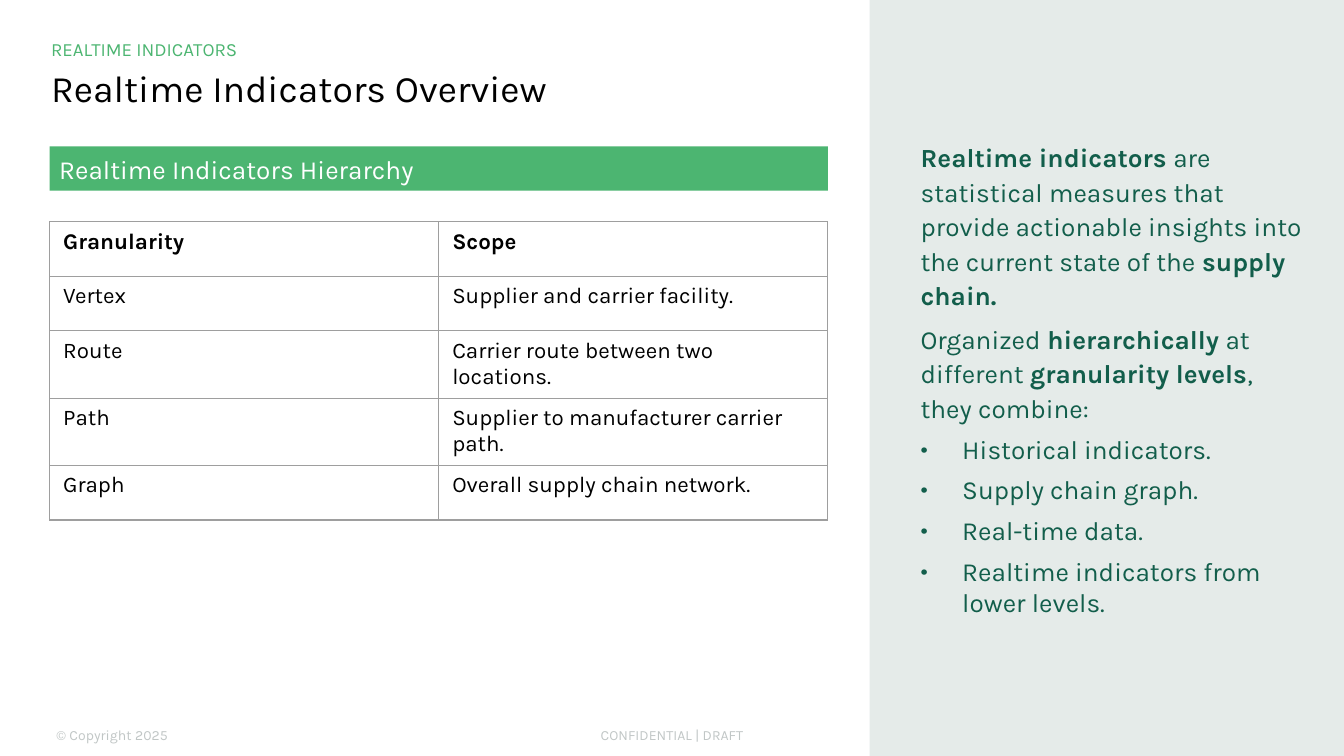
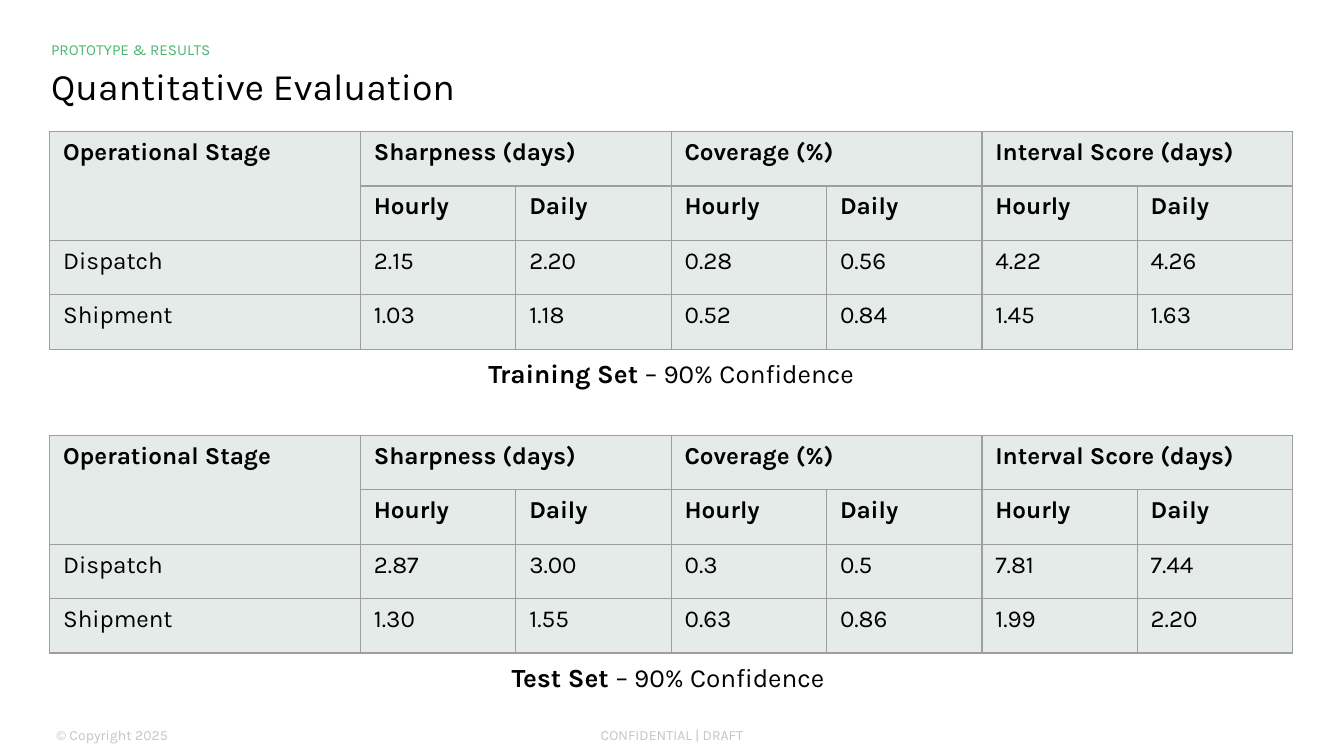
from dataclasses import dataclass

from lxml import etree
from pptx import Presentation
from pptx.dml.color import RGBColor
from pptx.enum.shapes import MSO_SHAPE
from pptx.enum.text import MSO_ANCHOR, PP_ALIGN
from pptx.oxml.ns import qn
from pptx.util import Inches, Pt

RECT = MSO_SHAPE.RECTANGLE
TOP, MID = MSO_ANCHOR.TOP, MSO_ANCHOR.MIDDLE
LEFT, CENTER = PP_ALIGN.LEFT, PP_ALIGN.CENTER


@dataclass(frozen=True)
class Theme:
    font: str = "Karla"
    black: str = "000000"
    white: str = "FFFFFF"
    green: str = "4CB571"
    dark: str = "125E4B"
    pale: str = "E5EBE9"
    gray: str = "838E8D"
    grid: str = "9E9E9E"
    title: float = 20
    body: float = 14
    score: float = 13
    cell: float = 12
    foot: float = 7.5


THEME = Theme()
WIDTH = 10
HEIGHT = WIDTH * 9 / 16
EDGE, WIDE = 0.37, 9.25  # left edge and full content width


# Text and shape helpers
def set_frame(frame, inset, anchor=TOP):
    frame.word_wrap = True
    frame.vertical_anchor = anchor
    sides = ("margin_left", "margin_top", "margin_right", "margin_bottom")
    for side, gap in zip(sides, inset):
        setattr(frame, side, Inches(gap))


def add_runs(para, runs, size, color, align=LEFT):
    """Each run is a (text, bold) pair."""
    para.alignment = align
    for text, bold in runs:
        run = para.add_run()
        run.text = text
        run.font.name = THEME.font
        run.font.size = Pt(size)
        run.font.bold = bold
        run.font.color.rgb = RGBColor.from_string(color)


def add_text(slide, box, runs, size, color, inset, anchor=TOP, align=LEFT):
    frame = slide.shapes.add_textbox(*map(Inches, box)).text_frame
    set_frame(frame, inset, anchor)
    add_runs(frame.paragraphs[0], runs, size, color, align)
    return frame.paragraphs[0]


def add_block(slide, box, fill, inset):
    shape = slide.shapes.add_shape(RECT, *map(Inches, box))
    shape.shadow.inherit = False
    shape.fill.solid()
    shape.fill.fore_color.rgb = RGBColor.from_string(fill)
    shape.line.fill.background()
    set_frame(shape.text_frame, inset, MID)
    return shape.text_frame


def add_bullet(para, indent):
    props = para._p.get_or_add_pPr()
    props.set("marL", str(Inches(indent)))
    props.set("indent", str(-Inches(indent)))
    etree.SubElement(props, qn("a:buFont")).set("typeface", THEME.font)
    etree.SubElement(props, qn("a:buChar")).set("char", "•")


def fade(para, percent):
    for color in para._p.iter(qn("a:srgbClr")):
        etree.SubElement(color, qn("a:alpha")).set("val", str(percent * 1000))


# Table helpers
def add_borders(cell):
    props = cell._tc.get_or_add_tcPr()
    for spot, side in enumerate(("lnL", "lnR", "lnT", "lnB")):
        line = etree.Element(qn("a:" + side), w=str(Pt(0.75)))
        fill = etree.SubElement(line, qn("a:solidFill"))
        etree.SubElement(fill, qn("a:srgbClr")).set("val", THEME.grid)
        props.insert(spot, line)


def add_grid(slide, box, rows, parts, size, heads=1, fill=None):
    """Columns share the width by parts; the first rows are bold heads."""
    left, top, width, height = box
    table = slide.shapes.add_table(
        len(rows), len(parts), *map(Inches, box)).table
    table.first_row = table.horz_banding = False
    for col, part in zip(table.columns, parts):
        col.width = Inches(width * part / sum(parts))
    for y, row in enumerate(rows):
        table.rows[y].height = Inches(height / len(rows))
        for x, text in enumerate(row):
            cell = table.cell(y, x)
            if fill:
                cell.fill.solid()
                cell.fill.fore_color.rgb = RGBColor.from_string(fill)
            else:
                cell.fill.background()
            add_borders(cell)
            if text:
                add_runs(cell.text_frame.paragraphs[0], [(text, y < heads)],
                         size, THEME.black)
    return table


# Parts shared by the slides
def add_base(deck):
    slide = deck.slides.add_slide(deck.slide_layouts[6])
    slide.background.fill.solid()
    slide.background.fill.fore_color.rgb = RGBColor.from_string(THEME.white)
    notes = ((3.31, 3.38, "CONFIDENTIAL | DRAFT", CENTER),
             (0.38, 2.97, "© Copyright 2025", LEFT))
    for left, width, text, align in notes:
        para = add_text(slide, (left, 5.36, width, 0.21), [(text, False)],
                        THEME.foot, THEME.gray, [0.04] * 4, MID, align)
        fade(para, 50)
    return slide


def add_head(slide, box, title, topic, size, pad, anchor):
    para = add_text(slide, box, [(title, False)], THEME.title, THEME.black,
                    (0, pad, 0, 0.04), anchor)
    para.line_spacing = 0.9
    add_text(slide, (box[0], box[1] - 0.17, WIDE, 0.17), [(topic, False)],
             size, THEME.green, (0, 0, 0.07, 0), MID)


# Side panel: paragraphs of prose, then bullets
def add_panel(slide, box, prose, points):
    frame = add_block(slide, box, THEME.pale, (0.38, 0.07, 0.3, 0.07))
    items = [(runs, False) for runs in prose]
    items += [([(point, False)], True) for point in points]
    for index, (runs, bullet) in enumerate(items):
        para = frame.add_paragraph() if index else frame.paragraphs[0]
        if index:
            para.space_before = Pt(5)
        if bullet:
            add_bullet(para, 0.31)
        else:
            para.line_spacing = 1.1
        add_runs(para, runs, THEME.body, THEME.dark)


# Score table with its caption below
def add_scores(slide, box, caption, scores):
    left, top, width, height = box
    groups = ("Sharpness (days)", "Coverage (%)", "Interval Score (days)")
    first = ["Operational Stage"]
    for group in groups:
        first += [group, ""]
    rows = [first, [""] + ["Hourly", "Daily"] * len(groups), *scores]
    table = add_grid(slide, box, rows, [2] + [1] * 6, THEME.score,
                     heads=2, fill=THEME.pale)
    table.cell(0, 0).merge(table.cell(1, 0))
    for x in range(1, 7, 2):
        table.cell(0, x).merge(table.cell(0, x + 1))
    add_text(slide, (left, top + height + 0.01, width, 0.34), caption,
             THEME.body, THEME.black, (0.1, 0.05, 0.1, 0.05), align=CENTER)


# Slide types
def add_overview(deck):
    slide = add_base(deck)
    add_head(slide, (0.38, 0.45, 6.16, 0.64), "Realtime Indicators Overview",
             "REALTIME INDICATORS", 10, 0.07, TOP)
    prose = [
        [("Realtime indicators", True),
         (" are statistical measures that provide actionable insights into "
          "the current state of the ", False),
         ("supply chain.", True)],
        [("Organized", False), (" hierarchically", True),
         (" at different ", False), ("granularity levels", True),
         (", they combine:", False)],
    ]
    points = ["Historical indicators.", "Supply chain graph.",
              "Real-time data.", "Realtime indicators from lower levels."]
    add_panel(slide, (6.47, 0, WIDTH - 6.47, HEIGHT), prose, points)
    band = add_block(slide, (EDGE, 1.09, 5.79, 0.33), THEME.green,
                     (0.07, 0.04, 0.07, 0.04))
    add_runs(band.paragraphs[0], [("Realtime Indicators Hierarchy", False)],
             THEME.body, THEME.white)
    rows = [
        ("Granularity", "Scope"),
        ("Vertex", "Supplier and carrier facility."),
        ("Route", "Carrier route between two locations."),
        ("Path", "Supplier to manufacturer carrier path."),
        ("Graph", "Overall supply chain network."),
    ]
    add_grid(slide, (EDGE, 1.65, 5.79, 2.03), rows, (1, 1), THEME.cell)


def add_results(deck):
    slide = add_base(deck)
    add_head(slide, (0.38, 0.45, WIDE, 0.41), "Quantitative Evaluation",
             "PROTOTYPE & RESULTS", 8.2, 0.04, MID)
    sets = (
        (0.98, [("Training Set ", True), ("– 90% Confidence", False)], [
            ("Dispatch", "2.15", "2.20", "0.28", "0.56", "4.22", "4.26"),
            ("Shipment", "1.03", "1.18", "0.52", "0.84", "1.45", "1.63")]),
        (3.24, [("Test Set ", True), ("– 90% Confidence ", False)], [
            ("Dispatch", "2.87", "3.00", "0.3", "0.5", "7.81", "7.44"),
            ("Shipment", "1.30", "1.55", "0.63", "0.86", "1.99", "2.20")]),
    )
    for top, caption, scores in sets:
        add_scores(slide, (EDGE, top, WIDE, 1.62), caption, scores)


def main():
    deck = Presentation()
    deck.slide_width, deck.slide_height = Inches(WIDTH), Inches(HEIGHT)
    add_overview(deck)
    add_results(deck)
    deck.save("out.pptx")


if __name__ == "__main__":
    main()
